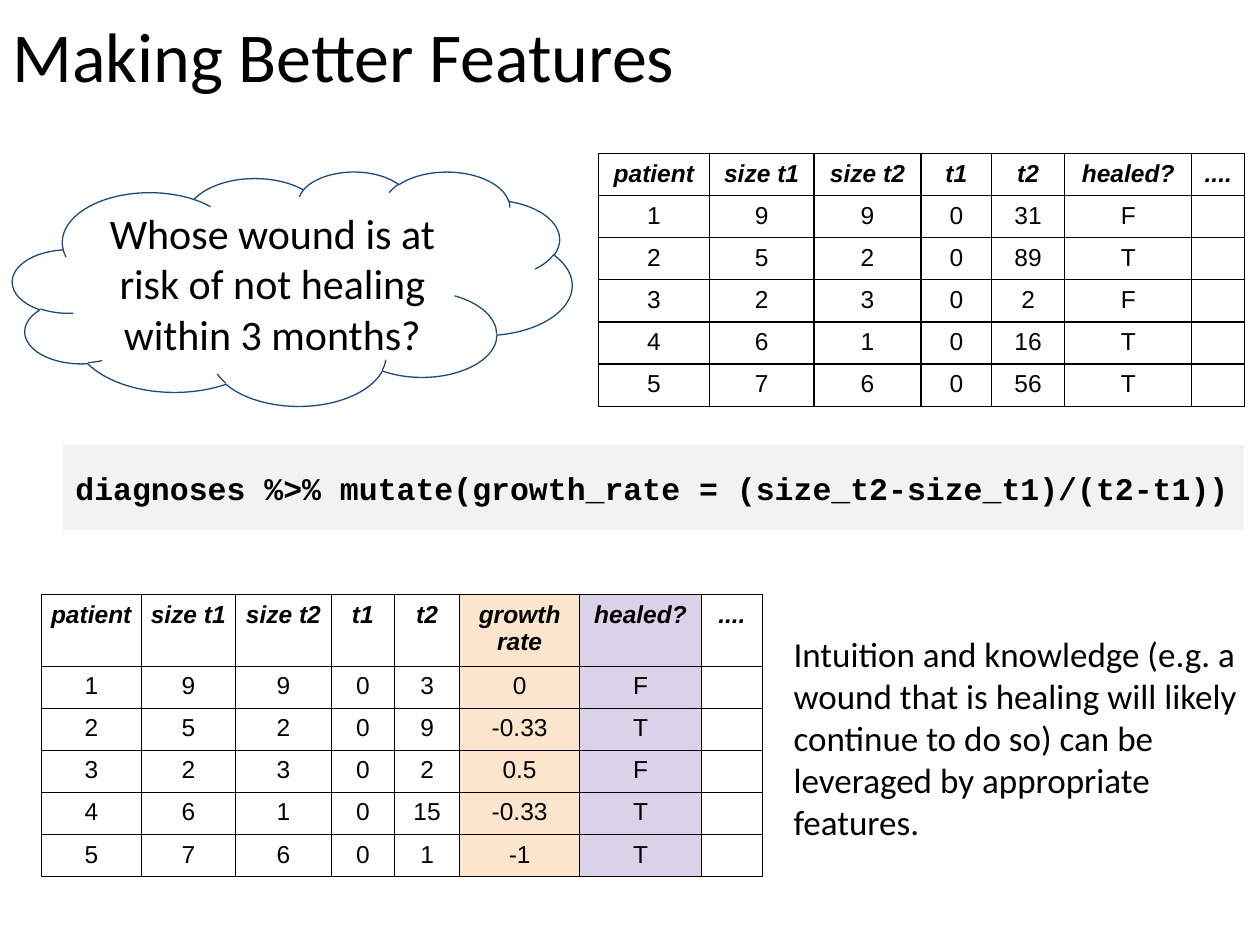
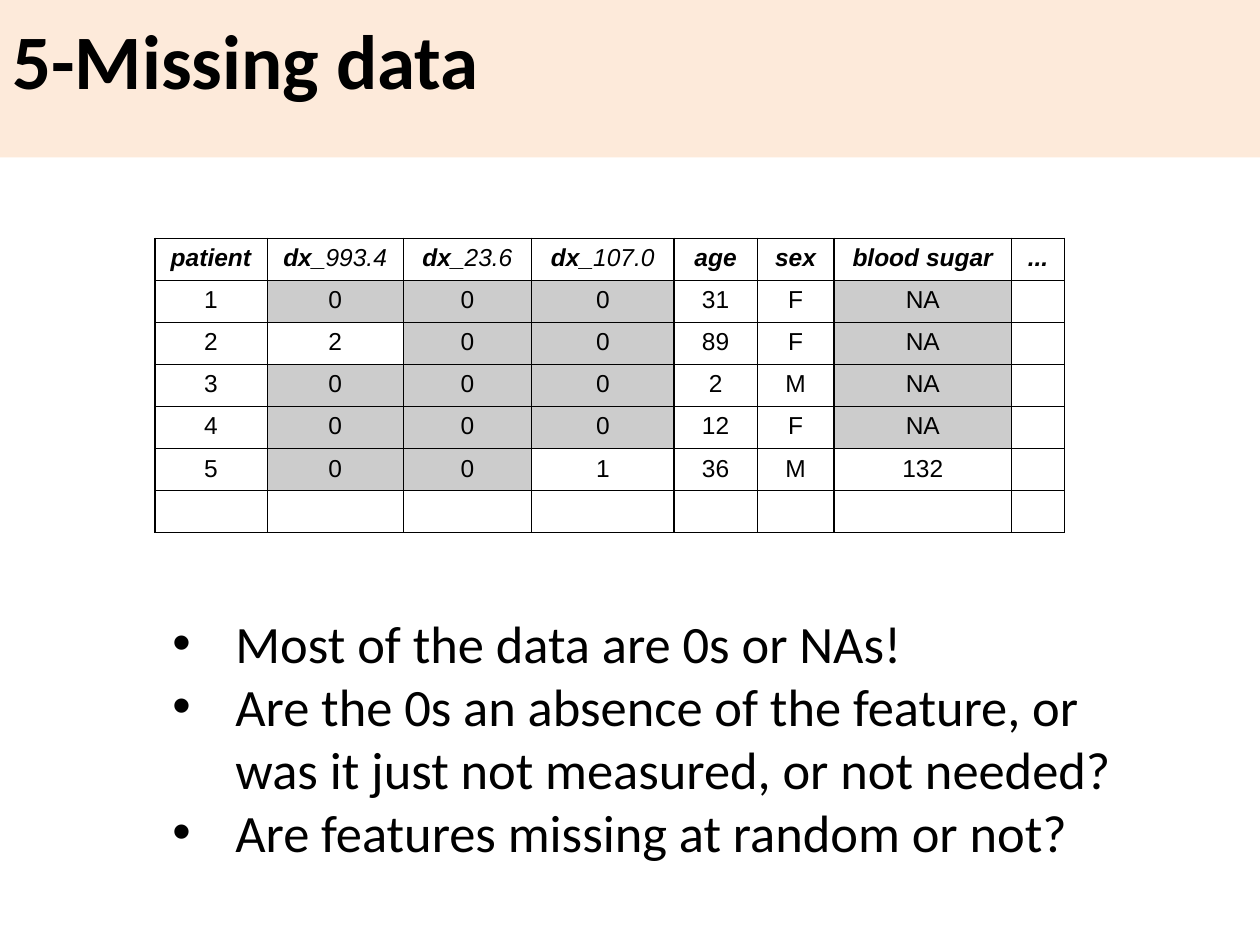
from dataclasses import dataclass, field
from typing import Callable

from lxml.etree import SubElement
from pptx import Presentation
from pptx.dml.color import RGBColor
from pptx.enum.shapes import MSO_SHAPE as Preset
from pptx.enum.text import MSO_ANCHOR as Anchor, PP_ALIGN as Align
from pptx.oxml.ns import qn
from pptx.util import Inches, Pt

BLACK, WHITE, NAVY = "000000", "FFFFFF", "1F497D"
CODE_GRAY, MISSING_GRAY = "F2F2F2", "CCCCCC"
PEACH, ORANGE, LILAC = "FDEADA", "FCE5CD", "D9D2E9"
BODY_FONT, TABLE_FONT, CODE_FONT = "Calibri", "Arial", "Courier New"
TABLE_SIZE, ROW_HEIGHT, BORDER_WIDTH = 14, 0.32, Pt(0.75)


@dataclass
class TextBlock:
    """A box of text, with an optional preset outline, fill and line."""
    left: float
    top: float
    width: float
    height: float
    lines: list[str]
    size: int
    font: str = BODY_FONT
    bold: bool = False
    align: Align = Align.LEFT
    anchor: Anchor = Anchor.TOP
    preset: Preset = Preset.RECTANGLE
    fill: str = ""
    line: str = ""
    bullet: str = ""


@dataclass
class DataTable:
    """A bordered table whose rows are written with bars between cells."""
    left: float
    top: float
    columns: list[float]
    rows: list[str]
    header_height: float = ROW_HEIGHT
    fill_for: Callable[[int, str], str] = field(default=lambda column, text: WHITE)


def color(value: str) -> RGBColor:
    """Turn a hex string into a colour."""
    return RGBColor.from_string(value)


def add_run(paragraph, text: str, size: int, font: str, bold: bool = False, italic: bool = False) -> None:
    """Append one black run to a paragraph."""
    run = paragraph.add_run()
    run.text = text
    run.font.size, run.font.name = Pt(size), font
    run.font.bold, run.font.italic = bold, italic
    run.font.color.rgb = color(BLACK)


def add_bullet(paragraph, mark: str) -> None:
    """Give a paragraph a hanging bullet."""
    properties = paragraph._p.get_or_add_pPr()
    properties.set("marL", str(Inches(0.54)))
    properties.set("indent", str(Inches(-0.5)))
    SubElement(properties, qn("a:buFont"), typeface="Arial")
    SubElement(properties, qn("a:buChar"), char=mark)


def draw_text(slide, block: TextBlock) -> None:
    """Draw a text block as a shape when it has a fill or line, else as a text box."""
    bounds = [Inches(value) for value in (block.left, block.top, block.width, block.height)]
    if block.fill or block.line:
        shape = slide.shapes.add_shape(block.preset, *bounds)
        shape.shadow.inherit = False
        shape.fill.background()
        shape.line.fill.background()
        if block.fill:
            shape.fill.solid()
            shape.fill.fore_color.rgb = color(block.fill)
        if block.line:
            shape.line.color.rgb = color(block.line)
            shape.line.width = BORDER_WIDTH
    else:
        shape = slide.shapes.add_textbox(*bounds)
    frame = shape.text_frame
    frame.word_wrap = True
    frame.vertical_anchor = block.anchor
    frame.margin_left = frame.margin_right = frame.margin_top = frame.margin_bottom = Inches(0.1)
    for index, line in enumerate(block.lines):
        paragraph = frame.add_paragraph() if index else frame.paragraphs[0]
        paragraph.alignment = block.align
        if block.bullet:
            add_bullet(paragraph, block.bullet)
        add_run(paragraph, line, block.size, block.font, block.bold)


def add_borders(cell) -> None:
    """Put a thin black line on every side of a cell, ahead of its fill."""
    properties = cell._tc.get_or_add_tcPr()
    for side in ("lnL", "lnR", "lnT", "lnB"):
        border = SubElement(properties, qn(f"a:{side}"), w=str(BORDER_WIDTH))
        SubElement(SubElement(border, qn("a:solidFill")), qn("a:srgbClr"), val=BLACK)


def draw_cell(cell, text: str, fill: str, is_header: bool) -> None:
    """Fill, frame and write one cell; a header is bold up to its underscore."""
    add_borders(cell)
    cell.fill.solid()
    cell.fill.fore_color.rgb = color(fill)
    cell.margin_left = cell.margin_right = cell.margin_top = cell.margin_bottom = Inches(0.05)
    paragraph = cell.text_frame.paragraphs[0]
    paragraph.alignment = Align.CENTER
    prefix, underscore, code = text.partition("_")
    if not text:
        SubElement(paragraph._p, qn("a:endParaRPr"), sz=str(TABLE_SIZE * 100))
    else:
        add_run(paragraph, prefix + underscore, TABLE_SIZE, TABLE_FONT, is_header, is_header)
    if code:
        add_run(paragraph, code, TABLE_SIZE, TABLE_FONT, italic=is_header)


def draw_table(slide, data: DataTable) -> None:
    """Draw a data table with its own column widths and fills."""
    height = data.header_height + ROW_HEIGHT * (len(data.rows) - 1)
    table = slide.shapes.add_table(
        len(data.rows), len(data.columns), Inches(data.left), Inches(data.top),
        Inches(sum(data.columns)), Inches(height)).table
    table.first_row = table.horz_banding = False
    for column, width in zip(table.columns, data.columns):
        column.width = Inches(width)
    for row_index, line in enumerate(data.rows):
        table.rows[row_index].height = Inches(ROW_HEIGHT if row_index else data.header_height)
        for column_index, text in enumerate(line.split("|")):
            fill = data.fill_for(column_index, text)
            draw_cell(table.cell(row_index, column_index), text, fill, row_index == 0)


def title(text: str, **style) -> TextBlock:
    """Describe a slide title across the top."""
    return TextBlock(0, 0, 10, 1.25, [text], **style)


def add_slide(presentation, parts: list[TextBlock | DataTable]) -> None:
    """Add a blank slide and draw its parts in order."""
    slide = presentation.slides.add_slide(presentation.slide_layouts[6])
    for part in parts:
        if isinstance(part, DataTable):
            draw_table(slide, part)
        else:
            draw_text(slide, part)


BETTER_FEATURES = [
    title("Making Better Features", size=40),
    TextBlock(0.1, 1.36, 4.44, 1.86, ["Whose wound is at risk of not healing within 3 months?"], 24,
              align=Align.CENTER, anchor=Anchor.MIDDLE, preset=Preset.CLOUD, line=NAVY),
    DataTable(4.75, 1.22, [0.88, 0.83, 0.85, 0.56, 0.58, 1.01, 0.42], [
        "patient|size t1|size t2|t1|t2|healed?|....",
        "1|9|9|0|31|F|",
        "2|5|2|0|89|T|",
        "3|2|3|0|2|F|",
        "4|6|1|0|16|T|",
        "5|7|6|0|56|T|",
    ]),
    TextBlock(0.5, 3.53, 9.37, 0.68, ["diagnoses %>% mutate(growth_rate = (size_t2-size_t1)/(t2-t1))"], 18,
              font=CODE_FONT, bold=True, anchor=Anchor.MIDDLE, fill=CODE_GRAY),
    DataTable(0.33, 4.72, [0.79, 0.75, 0.76, 0.5, 0.52, 0.95, 0.97, 0.48], [
        "patient|size t1|size t2|t1|t2|growth rate|healed?|....",
        "1|9|9|0|3|0|F|",
        "2|5|2|0|9|-0.33|T|",
        "3|2|3|0|2|0.5|F|",
        "4|6|1|0|15|-0.33|T|",
        "5|7|6|0|1|-1|T|",
    ], header_height=0.53, fill_for=lambda column, text: {5: ORANGE, 6: LILAC}.get(column, WHITE)),
    TextBlock(6.2, 4.92, 3.94, 1.84, [
        "Intuition and knowledge (e.g. a wound that is healing will likely continue to do so) "
        "can be leveraged by appropriate features."], 20),
]

MISSING_DATA = [
    title("5-Missing data", size=44, bold=True, fill=PEACH),
    DataTable(1.23, 1.89, [0.89, 1.08, 1.02, 1.13, 0.66, 0.61, 1.41, 0.42], [
        "patient|dx_993.4|dx_23.6|dx_107.0|age|sex|blood sugar|...",
        "1|0|0|0|31|F|NA|",
        "2|2|0|0|89|F|NA|",
        "3|0|0|0|2|M|NA|",
        "4|0|0|0|12|F|NA|",
        "5|0|0|1|36|M|132|",
        "|||||||",
    ], fill_for=lambda column, text: MISSING_GRAY if text in ("0", "NA") else WHITE),
    TextBlock(1.23, 4.75, 8.16, 2.15, [
        "Most of the data are 0s or NAs!",
        "Are the 0s an absence of the feature, or was it just not measured, or not needed?",
        "Are features missing at random or not?",
    ], 30, bullet="•"),
]


def main() -> None:
    """Build both slides and save the file."""
    presentation = Presentation()
    presentation.slide_width, presentation.slide_height = Inches(10), Inches(7.5)
    for parts in (BETTER_FEATURES, MISSING_DATA):
        add_slide(presentation, parts)
    presentation.save("out.pptx")


if __name__ == "__main__":
    main()
